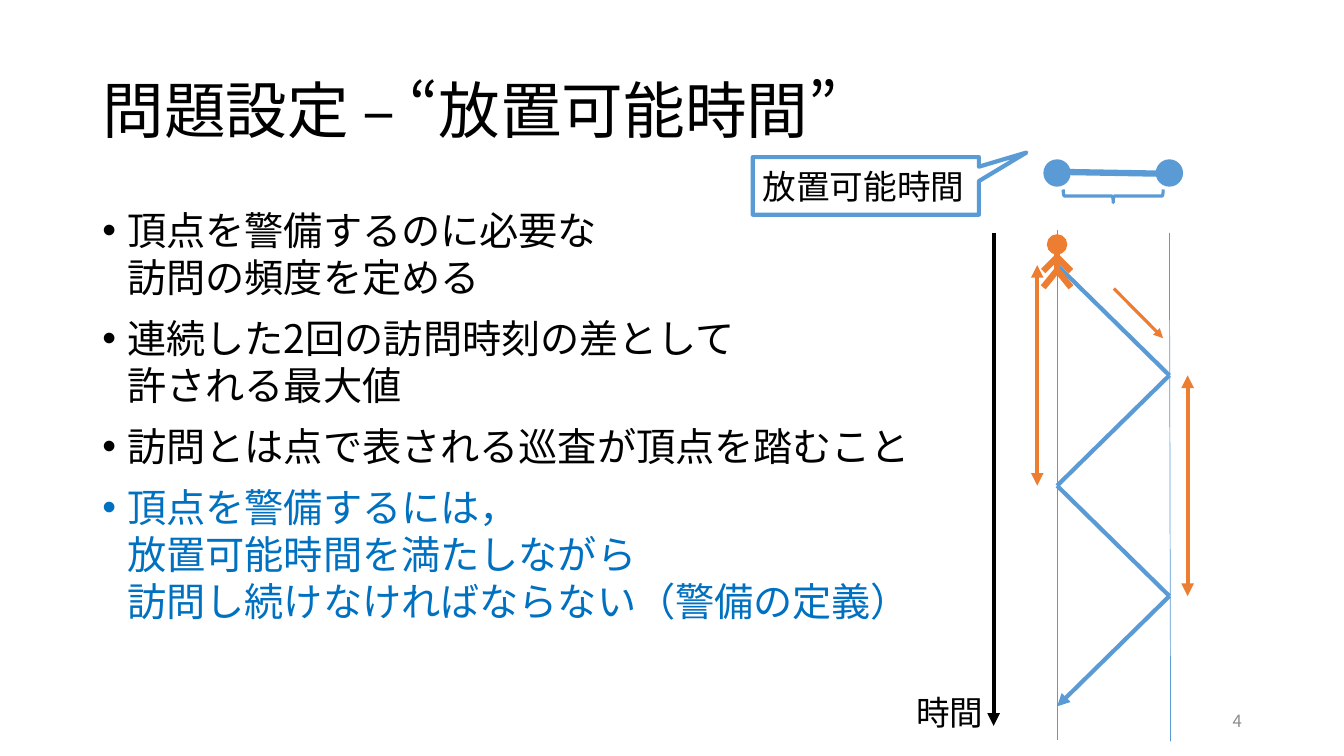
from itertools import pairwise
from lxml.etree import SubElement as Sub
from pptx import Presentation
from pptx.dml.color import RGBColor
from pptx.enum.lang import MSO_LANGUAGE_ID as Lang
from pptx.enum.shapes import MSO_CONNECTOR as Link, MSO_SHAPE as Kind
from pptx.enum.text import MSO_ANCHOR as Anchor, PP_ALIGN as Align
from pptx.oxml.ns import qn
from pptx.util import Cm, Pt

BLUE, ORANGE, BLACK = "5B9BD5", "ED7D31", "000000"
SANS = "Noto Sans CJK JP"


def paint(target, color):
    """Give a fill one solid colour."""
    target.solid()
    target.fore_color.rgb = RGBColor.from_string(color)


def style(para, size, color=BLACK, face=SANS):
    font = para.font
    font.size, font.name = Pt(size), face
    paint(font.fill, color)
    Sub(para._p.pPr.find(qn("a:defRPr")), qn("a:ea"), typeface=SANS)
    for run in para.runs:
        run.font.language_id = Lang.JAPANESE


def line(shapes, start, end, color, width, head=False, tail=False):
    item = shapes.add_connector(Link.STRAIGHT, *map(Cm, (*start, *end)))
    paint(item.line.fill, color)
    item.line.width = Pt(width)
    for tag, shown in (("a:headEnd", head), ("a:tailEnd", tail)):
        if shown:
            Sub(item.line._get_or_add_ln(), qn(tag), type="triangle")
    Sub(item._element.spPr, qn("a:effectLst"))


def shape(shapes, kind, box, fill=None, edge=None, width=1):
    item = shapes.add_shape(kind, *map(Cm, box))
    item.shadow.inherit = False
    if fill:
        paint(item.fill, fill)
    else:
        item.fill.background()
    if edge:
        paint(item.line.fill, edge)
        item.line.width = Pt(width)
    else:
        item.line.fill.background()
    return item


def label(shapes, box, text, size, color=BLACK, face=SANS, wrap=True):
    frame = shapes.add_textbox(*map(Cm, box)).text_frame
    frame.word_wrap = wrap
    para = frame.paragraphs[0]
    para.text = text
    style(para, size, color, face)
    return frame


def title(slide, box, text):
    head = slide.shapes.title
    head.left, head.top, head.width, head.height = map(Cm, box)
    head.text_frame.vertical_anchor = Anchor.MIDDLE
    para = head.text_frame.paragraphs[0]
    para.text, para.alignment, para.line_spacing = text, Align.LEFT, 0.9
    style(para, 44)


def points(shapes, box, items):
    frame = shapes.add_textbox(*map(Cm, box)).text_frame
    frame.word_wrap = True
    for i, (text, color) in enumerate(items):
        para = frame.add_paragraph() if i else frame.paragraphs[0]
        para.text = text
        if i:
            para.space_before = Pt(10)
        props = para._p.get_or_add_pPr()
        props.set("marL", str(Cm(0.63)))
        props.set("indent", str(-Cm(0.63)))
        Sub(props, qn("a:buFont"), typeface="Arial")
        Sub(props, qn("a:buChar"), char="•")
        style(para, 28, color)


def graph(shapes, x, y, w):
    """Two vertices joined by an edge, with a brace below."""
    size = 0.69
    group = shapes.add_group_shape().shapes
    line(group, (x, y - 0.03), (x + w, y + 0.02), BLUE, 4.5)
    for mid in (x, x + w):
        shape(group, Kind.OVAL, (mid - size / 2, y - size / 2, size, size), BLUE)
    deep, span = 0.33, 2.52
    box = (x + w / 2 - deep / 2, y + 0.58 - span / 2, deep, span)
    shape(shapes, Kind.LEFT_BRACE, box, edge=BLUE, width=2.25).rotation = 270


def guard(shapes, x, y):
    """Stick figure centred on x with its head starting at y."""
    group = shapes.add_group_shape().shapes
    shape(group, Kind.OVAL, (x - 0.24, y, 0.48, 0.48), ORANGE, ORANGE)
    line(group, (x, y + 0.48), (x, y + 0.9), ORANGE, 4.5)
    for joint, tip in ((0.56, 0.91), (0.89, 1.32)):
        for side in (0.35, -0.35):
            line(group, (x, y + joint), (x + side, y + tip), ORANGE, 4.5)


def patrol(shapes, x, y, w, h):
    """Zigzag walk between two guides, with the gaps between visits."""
    line(shapes, (x, y), (x, y + h), BLUE, 0.5)
    line(shapes, (x + w, y + 0.07), (x + w + 0.03, y + h + 0.03), BLUE, 0.5)
    step, top = 2.78, y + 0.88
    stops = [(x + w * (i % 2), top + step * i) for i in range(5)]
    for start, end in pairwise(stops):
        line(shapes, start, end, BLUE, 3, tail=end == stops[-1])
    line(shapes, (x + 1.43, y + 1.47), (x + 2.67, y + 2.72), ORANGE, 2.25, tail=True)
    guard(shapes, x, y + 0.12)
    for side, first in ((x - 0.5, 0), (x + w + 0.46, 1)):
        high = top + step * first
        line(shapes, (side, high), (side, high + 2 * step), ORANGE, 3, True, True)


def callout(shapes, box, text):
    item = shape(shapes, Kind.RECTANGULAR_CALLOUT, box, edge=BLUE, width=3)
    item.adjustments[0], item.adjustments[1] = 0.71, -0.58
    frame = item.text_frame
    frame.vertical_anchor = Anchor.MIDDLE
    para = frame.paragraphs[0]
    para.text, para.alignment = text, Align.LEFT
    style(para, 24)


def clock(shapes, x, y, h):
    """Time axis pointing down, named at its foot."""
    line(shapes, (x, y), (x, y + h), BLACK, 3, tail=True)
    label(shapes, (x - 2.2, y + h - 0.97, 2.22, 1.27), "時間", 24,
          face="Cambria", wrap=False)


def number(shapes, box, text):
    frame = label(shapes, box, text, 12, "8C8C8C")
    frame.vertical_anchor = Anchor.MIDDLE
    frame.paragraphs[0].alignment = Align.RIGHT


def main():
    deck = Presentation()
    deck.slide_width, deck.slide_height = Cm(33.87), Cm(19.05)
    slide = deck.slides.add_slide(deck.slide_layouts[5])
    shapes = slide.shapes
    title(slide, (2.33, 1.01, 29.21, 3.68), "問題設定 – “放置可能時間”")
    points(shapes, (2.33, 5.07, 21.75, 13.2), (
        ("頂点を警備するのに必要な\v訪問の頻度を定める", BLACK),
        ("連続した2回の訪問時刻の差として\v許される最大値", BLACK),
        ("訪問とは点で表される巡査が頂点を踏むこと", BLACK),
        ("頂点を警備するには，\v放置可能時間を満たしながら\v"
         "訪問し続けなければならない（警備の定義）", "0070C0"),
    ))
    graph(shapes, 26.64, 4.36, 2.83)
    patrol(shapes, 26.64, 5.8, 2.83, 12.85)
    callout(shapes, (18.97, 3.96, 5.7, 1.45), "放置可能時間")
    clock(shapes, 25.04, 5.87, 12.42)
    number(shapes, (23.93, 17.65, 7.62, 1.01), "4")
    deck.save("out.pptx")


if __name__ == "__main__":
    main()
